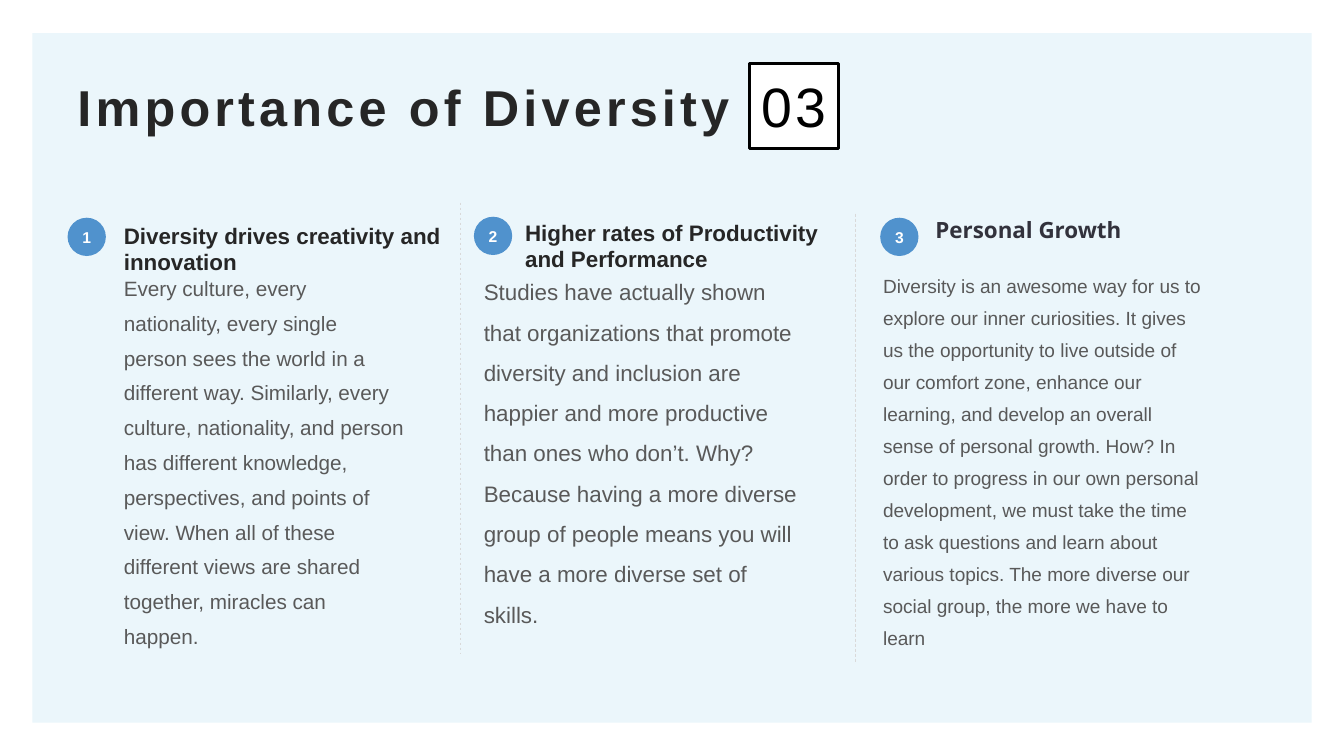
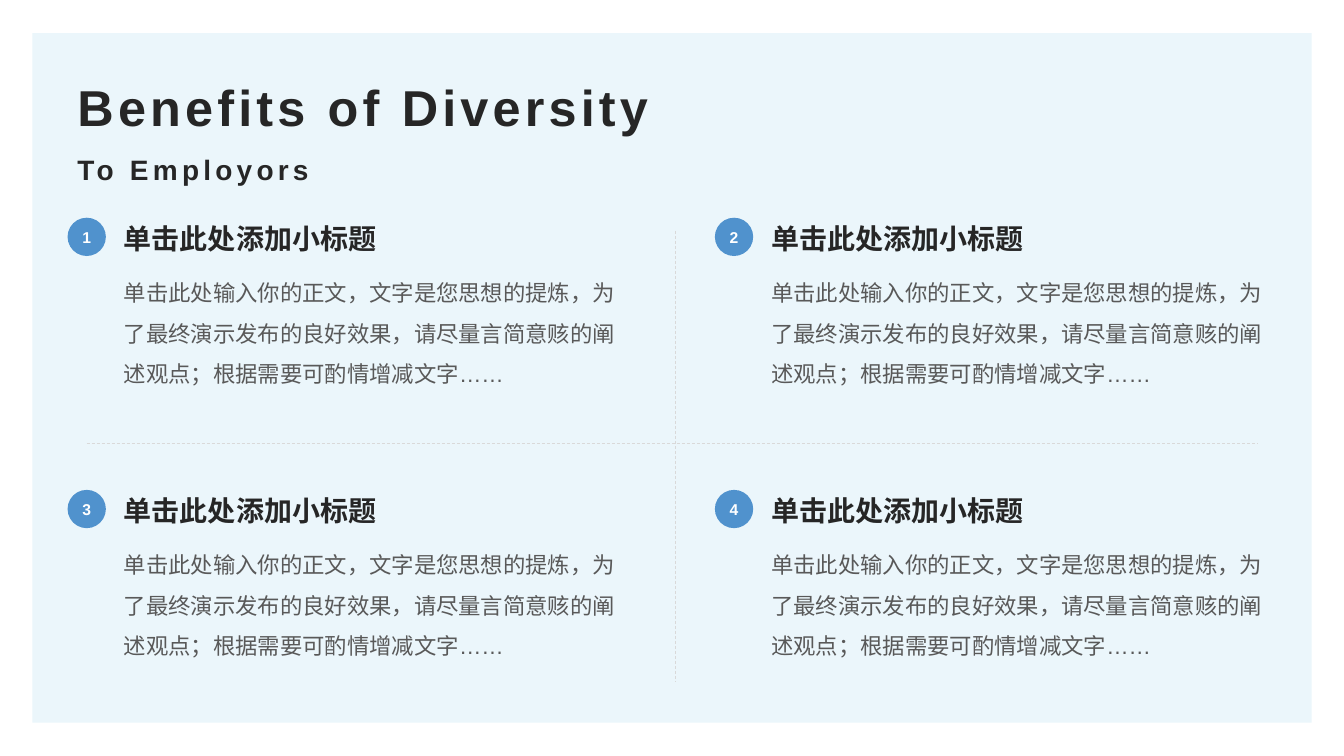
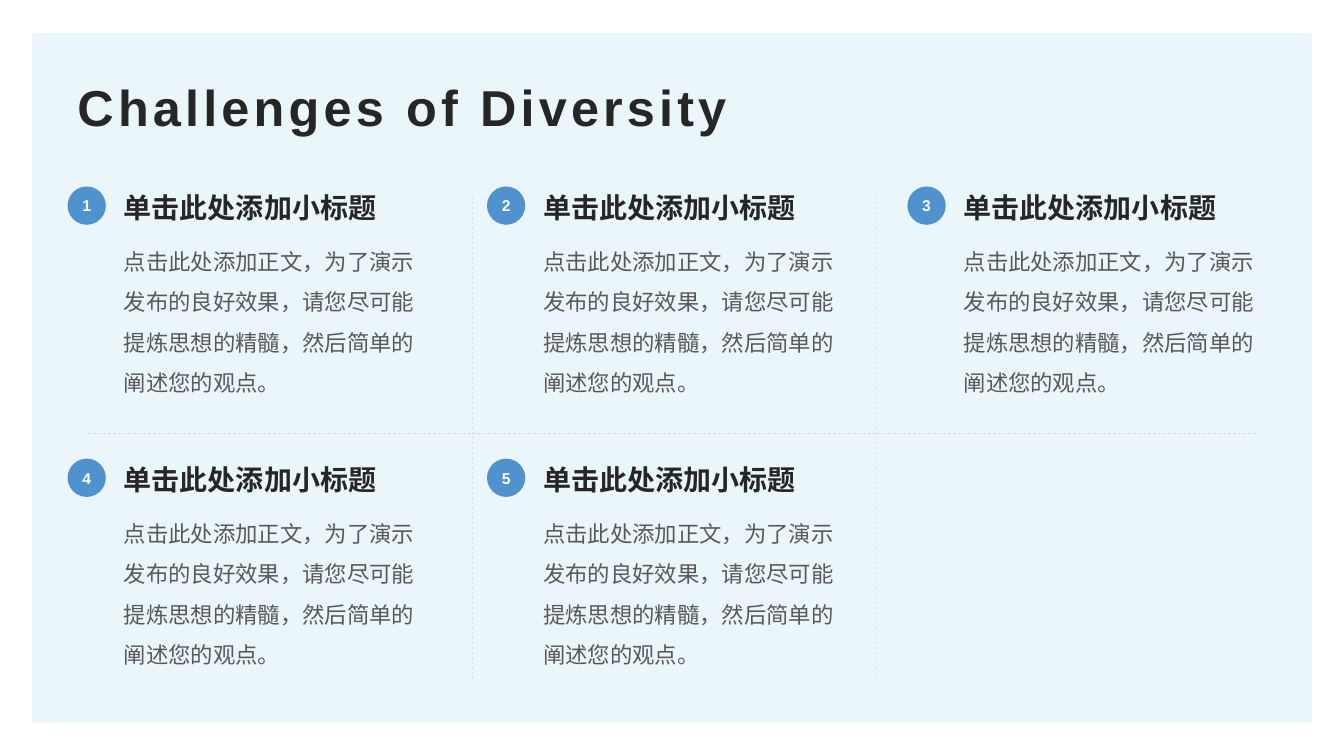
import pptx
import pptx.dml.color
import pptx.enum.dml
import pptx.enum.shapes
import pptx.enum.text
import pptx.oxml.ns
import pptx.util
from lxml import etree

PX = 9144  # one px is a hundredth of an inch
SHAPES = pptx.enum.shapes.MSO_SHAPE
ALIGN = pptx.enum.text.PP_ALIGN
TOP = pptx.enum.text.MSO_ANCHOR.TOP
MIDDLE = pptx.enum.text.MSO_ANCHOR.MIDDLE

# Shared colours and text styles
PANEL, BLUE, WHITE, BLACK = "EBF6FB", "5092CD", "FFFFFF", "000000"
INK, BODY_GREY, RULE_GREY = "262626", "595959", "D9D9D9"

TITLE = dict(size=36, bold=True, color=INK, spc=300, anchor=MIDDLE)
SUBTITLE = dict(TITLE, size=20)
HEADING = dict(size=20, bold=True, color=INK)
SMALL_HEADING = dict(HEADING, size=16)
BODY = dict(size=16, color=BODY_GREY, line_spacing=1.5, space_before=10)
BADGE = dict(size=11.2, bold=True, color=WHITE, anchor=MIDDLE,
             alignment=ALIGN.CENTER, margin=0)
SECTION = dict(size=39.6, color=BLACK, spc=200, anchor=MIDDLE,
               alignment=ALIGN.CENTER)


def rgb(hex_code):
    return pptx.dml.color.RGBColor.from_string(hex_code)


def add_block(slide, box, text="", style=None, preset=None, fill=None, outline=None):
    """Add a text box, or a preset shape with fill and outline, and its text."""
    place = [length * PX for length in box]
    if preset is None:
        block = slide.shapes.add_textbox(*place)
    else:
        block = slide.shapes.add_shape(preset, *place)
        block.shadow.inherit = False
        block.fill.solid()
        block.fill.fore_color.rgb = rgb(fill)
        if outline:
            block.line.color.rgb = rgb(outline)
            block.line.width = pptx.util.Pt(2)
        else:
            block.line.fill.background()
    if not text:
        return
    frame = block.text_frame
    frame.word_wrap = True
    frame.vertical_anchor = style.get("anchor", TOP)
    if "margin" in style:
        for side in ("left", "top", "right", "bottom"):
            setattr(frame, "margin_" + side, style["margin"])
    paragraph = frame.paragraphs[0]
    paragraph.alignment = style.get("alignment", ALIGN.LEFT)
    paragraph.line_spacing = style.get("line_spacing")
    paragraph.space_before = pptx.util.Pt(style.get("space_before", 0))
    run = paragraph.add_run()
    run.text = text
    font_name = style.get("font", "Arial")
    font_format = dict(name=font_name, size=pptx.util.Pt(style["size"]),
                       bold=style.get("bold", False))
    for attribute, value in font_format.items():
        setattr(run.font, attribute, value)
    run.font.color.rgb = rgb(style["color"])
    properties = run.font._element
    for script in ("a:ea", "a:cs"):
        etree.SubElement(properties, pptx.oxml.ns.qn(script), typeface=font_name)
    if "spc" in style:
        properties.set("spc", str(style["spc"]))


# Slide 1: three columns, each with its own places and sizes
# (badge, heading, heading box, heading style, body, body box, body style)
importance_cards = [
    ((67, 216), "Diversity drives creativity and innovation",
     (113, 215, 342, 44), SMALL_HEADING,
     "Every culture, every nationality, every single person sees the world in a "
     "different way. Similarly, every culture, nationality, and person has different "
     "knowledge, perspectives, and points of view. When all of these different views "
     "are shared together, miracles can happen.",
     (113, 259, 299, 401), dict(BODY, size=14.8, line_spacing=1.4)),
    ((470, 215), "Higher rates of Productivity and Performance",
     (511, 212, 321, 44), SMALL_HEADING,
     "Studies have actually shown that organizations that promote diversity and "
     "inclusion are happier and more productive than ones who don’t. Why? Because "
     "having a more diverse group of people means you will have a more diverse set "
     "of skills.",
     (470, 258, 339, 402), BODY),
    ((873, 216), "Personal Growth",
     (918, 210, 321, 44), dict(SMALL_HEADING, font="Open Sans", color="32323C"),
     "Diversity is an awesome way for us to explore our inner curiosities. It gives "
     "us the opportunity to live outside of our comfort zone, enhance our learning, "
     "and develop an overall sense of personal growth. How? In order to progress in "
     "our own personal development, we must take the time to ask questions and learn "
     "about various topics. The more diverse our social group, the more we have to "
     "learn",
     (866, 258, 339, 402), dict(BODY, size=13.6, line_spacing=1.4)),
]

# Slides 2 and 3: even grids of cards
# (column lefts, row tops, number of cards, text width, body height, body)
grids = [
    ((67, 709), (216, 486), 4, 511, 154,
     "单击此处输入你的正文，文字是您思想的提炼，为了最终演示发布的良好效果，"
     "请尽量言简意赅的阐述观点；根据需要可酌情增减文字……"),
    ((67, 483, 900), (185, 455), 5, 320, 184,
     "点击此处添加正文，为了演示发布的良好效果，请您尽可能提炼思想的精髓，"
     "然后简单的阐述您的观点。"),
]
grid_cards = []
for lefts, tops, count, width, body_height, body in grids:
    spots = [(left, top) for top in tops for left in lefts][:count]
    grid_cards.append([
        ((left, top), "单击此处添加小标题", (left + 46, top - 1, width, 44), HEADING,
         body, (left + 46, top + 43, width, body_height), BODY)
        for left, top in spots])

# Title, cards, dividers (from x, from y, to x, to y)
pages = [
    ("Importance of Diversity", importance_cards,
     [(457, 201, 457, 648), (848, 212, 848, 658)]),
    ("Benefits of Diversity", grid_cards[0],
     [(86, 440, 1247, 440), (670, 229, 670, 676)]),
    ("Challenges of Diversity", grid_cards[1],
     [(869, 195, 869, 676), (469, 195, 469, 676), (87, 430, 1247, 430)]),
]

deck = pptx.Presentation()
deck.slide_width, deck.slide_height = 1333 * PX, 750 * PX

for title, cards, dividers in pages:
    slide = deck.slides.add_slide(deck.slide_layouts[6])

    # Panel and title
    add_block(slide, (32, 33, 1269, 684), preset=SHAPES.RECTANGLE, fill=PANEL)
    add_block(slide, (67, 67, 1200, 77), title, TITLE)

    # Dashed dividers
    for ends in dividers:
        divider = slide.shapes.add_connector(
            pptx.enum.shapes.MSO_CONNECTOR.STRAIGHT, *[end * PX for end in ends])
        divider.line.color.rgb = rgb(RULE_GREY)
        divider.line.width = pptx.util.Pt(0.5)
        divider.line.dash_style = pptx.enum.dml.MSO_LINE.DASH
        etree.SubElement(divider._element.spPr, pptx.oxml.ns.qn("a:effectLst"))

    # Numbered cards
    for number, card in enumerate(cards, 1):
        spot, heading, heading_box, heading_style, body, body_box, body_style = card
        add_block(slide, body_box, body, body_style)
        add_block(slide, heading_box, heading, heading_style)
        add_block(slide, (*spot, 38, 38), str(number), BADGE, SHAPES.OVAL, BLUE)

# Section number on slide 1, subtitle on slide 2
add_block(deck.slides[0], (743, 63, 89, 84), "03", SECTION,
          SHAPES.RECTANGLE, WHITE, BLACK)
add_block(deck.slides[1], (67, 129, 513, 77), "To Employors", SUBTITLE)

deck.save("out.pptx")
